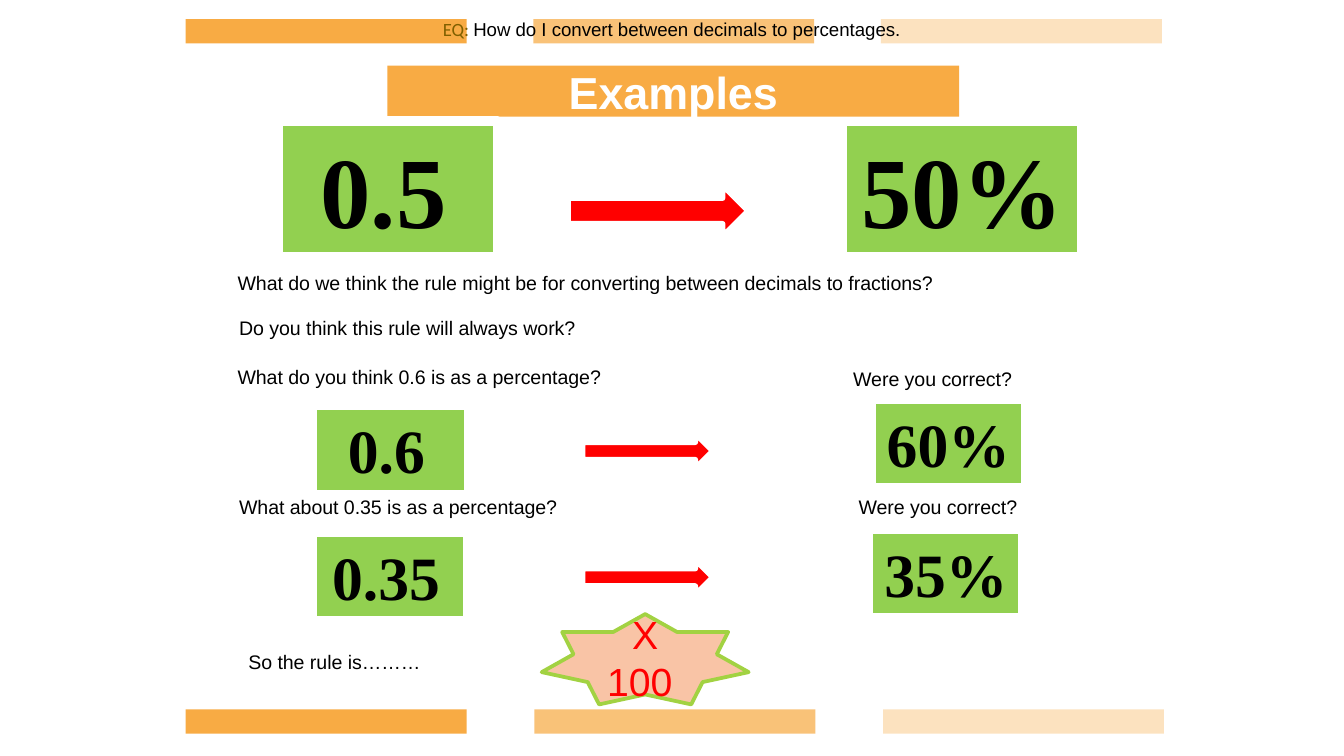
from lxml.etree import SubElement
from pptx import Presentation
from pptx.dml.color import RGBColor
from pptx.enum.shapes import MSO_SHAPE as Shape
from pptx.enum.text import MSO_ANCHOR as Anchor, MSO_AUTO_SIZE as AutoSize, PP_ALIGN as Align
from pptx.oxml import parse_xml
from pptx.oxml.ns import nsdecls, qn
from pptx.util import Pt

THEME = {
    "orange": "F8AB44", "green": "92D050", "red": "FF0000", "white": "FFFFFF",
    "black": "000000", "brown": "806000", "peach": "F9C4A6", "lime": "A2D242",
    "sans": "Arial", "serif": "Times New Roman", "lead_font": "Calibri",
    "title": 24, "question": 10, "body": 10.5, "large": 54, "medium": 33,
    "space": 18, "rule": 21,
}

TITLE = "Examples"
QUESTION = [("EQ: ", "lead_font", "brown"),
            ("How do I convert between decimals to percentages. ", "sans", "black")]
BAR_OPACITY = (100, 72, 34)
NUMBERS = [
    ("0.5", " ", "large", (149, 64.8, 117.4, 72.7)),
    ("50% ", "", "large", (451.4, 65, 128.2, 72.7)),
    ("0.6", " ", "medium", (167.5, 217.4, 83.5, 47.5)),
    ("60% ", "", "medium", (466.6, 214, 82.8, 47.5)),
    ("0.35", " ", "medium", (167.3, 285.2, 83.5, 47.5)),
    ("35% ", "", "medium", (465.3, 283.7, 82.8, 47.5)),
]
ARROWS = [(352.6, 113, 96.5, 27.4), (347, 241.6, 69.8, 18.7), (347, 309.3, 69.8, 18.7)]
PROMPTS = [
    ("What do we think the rule might be for converting between decimals to fractions?", 120.2, 141.5, 396.7),
    ("Do you think this rule will always work?", 121, 165.6, 200.9),
    ("What do you think 0.6 is as a percentage?", 120.2, 192.2, 218.9),
    ("Were you correct?", 450, 193, 101.5),
    ("What about 0.35 is as a percentage?", 121, 261.4, 193.7),
    ("Were you correct?", 452.9, 261.4, 101.5),
    ("So the rule is………", 126, 344.8, 108),
]
RULE = "X 100 "


def color(name):
    return RGBColor.from_string(THEME[name])


def place(lengths):
    return [Pt(length) for length in lengths]


def add_span(para, text, size, font, ink, bold=False):
    span = para.add_run()
    span.text = text
    span.font.size = Pt(THEME[size])
    span.font.name = THEME[font]
    span.font.color.rgb = color(ink)
    span.font.bold = bold


def add_box(shapes, kind, lengths, fill, line=None, width=0):
    box = shapes.add_shape(kind, *place(lengths))
    box.shadow.inherit = False
    box.fill.solid()
    box.fill.fore_color.rgb = color(fill)
    if line:
        box.line.color.rgb = color(line)
        box.line.width = Pt(width)
    else:
        box.line.fill.background()
    return box


def add_bars(shapes, top, pitch):
    for index, opacity in enumerate(BAR_OPACITY):
        bar = add_box(shapes, Shape.RECTANGLE, (99.5 + index * pitch, top, 150.5, 13), "orange")
        if opacity < 100:
            tint = bar.fill._xPr.find(qn("a:solidFill"))[0]
            SubElement(tint, qn("a:alpha"), val=str(opacity * 1000))


def add_title(page):
    title = page.shapes.title
    title.left, title.top, title.width, title.height = place((207.5, 35.2, 306.4, 27.3))
    outline = parse_xml(
        f'<a:prstGeom {nsdecls("a")} prst="roundRect"><a:avLst>'
        '<a:gd name="adj" fmla="val 21100"/></a:avLst></a:prstGeom>')
    title._element.spPr.find(qn("a:xfrm")).addnext(outline)
    title.fill.solid()
    title.fill.fore_color.rgb = color("orange")
    frame = title.text_frame
    frame.auto_size = AutoSize.NONE
    frame.vertical_anchor = Anchor.MIDDLE
    frame.paragraphs[0].alignment = Align.CENTER
    add_span(frame.paragraphs[0], TITLE, "title", "sans", "white", True)


def add_question(page):
    frame = page.shapes.add_textbox(*place((212.4, 6.3, 297.4, 19.4))).text_frame
    frame.word_wrap = True
    para = frame.paragraphs[0]
    para.alignment = Align.CENTER
    for text, font, ink in QUESTION:
        add_span(para, text, "question", font, ink)


def add_number(page, text, gap, size, lengths):
    box = add_box(page.shapes, Shape.RECTANGLE, lengths, "green", "white", 5)
    frame = box.text_frame
    frame.word_wrap = True
    frame.vertical_anchor = Anchor.TOP
    para = frame.paragraphs[0]
    para.alignment = Align.CENTER
    add_span(para, text, size, "serif", "black", True)
    if gap:
        add_span(para, gap, "space", "serif", "black", True)


def add_arrow(page, center_x, center_y, length, thickness):
    lengths = (center_x - thickness / 2, center_y - length / 2, thickness, length)
    arrow = add_box(page.shapes, Shape.DOWN_ARROW, lengths, "red", "white", 3)
    arrow.rotation = 270


def add_prompt(page, text, left, top, width):
    frame = page.shapes.add_textbox(*place((left, top, width, 20))).text_frame
    frame.word_wrap = False
    frame.auto_size = AutoSize.SHAPE_TO_FIT_TEXT
    add_span(frame.paragraphs[0], text, "body", "sans", "black")


def add_rule(page):
    star = add_box(page.shapes, Shape.STAR_7_POINT, (290.2, 329, 110.9, 48.4), "peach", "lime", 2)
    frame = star.text_frame
    frame.word_wrap = True
    frame.vertical_anchor = Anchor.MIDDLE
    para = frame.paragraphs[0]
    para.alignment = Align.CENTER
    add_span(para, RULE, "rule", "sans", "red")


def main():
    deck = Presentation()
    deck.slide_width, deck.slide_height = Pt(720), Pt(405)
    page = deck.slides.add_slide(deck.slide_layouts[5])
    add_title(page)
    add_bars(page.shapes, 10.2, 186.2)
    add_bars(page.shapes.add_group_shape().shapes, 380, 186.8)
    add_question(page)
    for number in NUMBERS:
        add_number(page, *number)
    for arrow in ARROWS:
        add_arrow(page, *arrow)
    for prompt in PROMPTS:
        add_prompt(page, *prompt)
    add_rule(page)
    deck.save("out.pptx")


if __name__ == "__main__":
    main()
